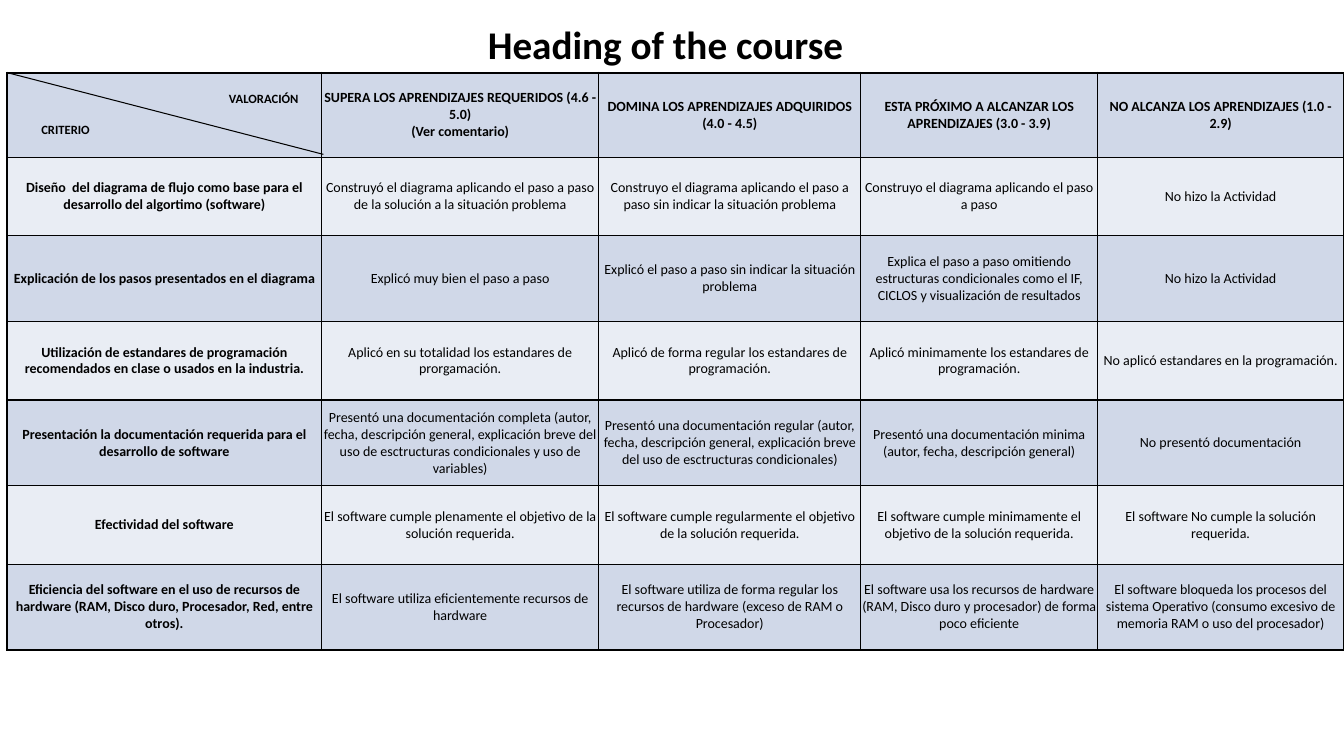
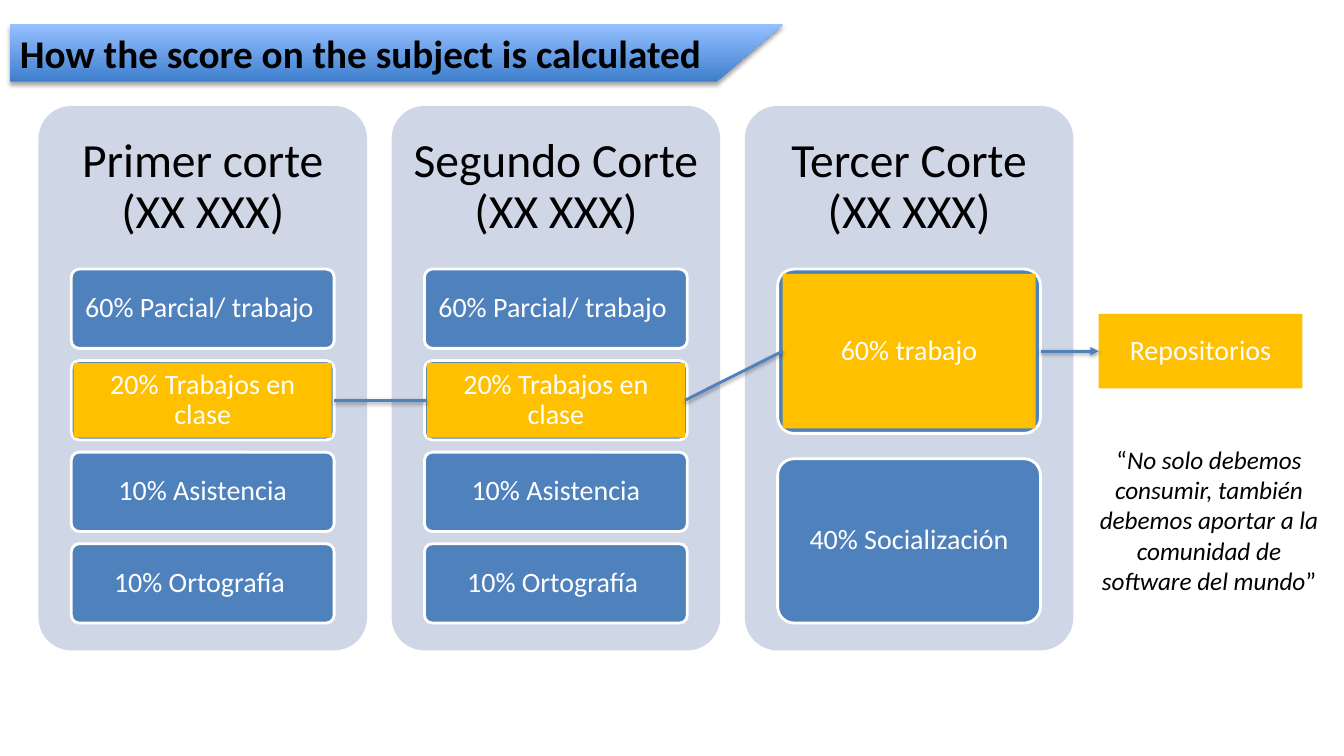
from lxml import etree
from pptx import Presentation
from pptx.dml.color import RGBColor
from pptx.enum import shapes, text
from pptx.oxml.ns import qn
from pptx.util import Cm, Pt

FONT = "Calibri"
BLACK, WHITE = "000000", "FFFFFF"
BLUE, AMBER, PANEL = "4F81BD", "FFC000", "CFD7E7"
BANDS = ("D0D8E8", "E9EDF4")
BANNER_STOPS = ("3E7FCD", "96C0FF")
TITLE_HEIGHT = 1.45
CENTER, LEFT, RIGHT = text.PP_ALIGN.CENTER, text.PP_ALIGN.LEFT, text.PP_ALIGN.RIGHT

TABLE_LEFT, TABLE_TOP = 0.18, 1.83
COLUMN_WIDTHS = (7.92, 6.99, 6.6, 5.97, 6.2)
ROW_HEIGHTS = (2.13, 1.98, 2.16, 1.98, 2.16, 1.98, 2.16)
RUBRIC = (
    ("VALORACIÓN\nCRITERIO",
     "SUPERA LOS APRENDIZAJES REQUERIDOS (4.6 - 5.0)\n(Ver comentario)",
     "DOMINA LOS APRENDIZAJES ADQUIRIDOS (4.0 - 4.5)",
     "ESTA PRÓXIMO A ALCANZAR LOS APRENDIZAJES (3.0 - 3.9)",
     "NO ALCANZA LOS APRENDIZAJES (1.0 - 2.9)"),
    ("Diseño  del diagrama de flujo como base para el desarrollo del algortimo (software)",
     "Construyó el diagrama aplicando el paso a paso de la solución a la situación problema",
     "Construyo el diagrama aplicando el paso a paso sin indicar la situación problema",
     "Construyo el diagrama aplicando el paso a paso",
     "No hizo la Actividad"),
    ("Explicación de los pasos presentados en el diagrama",
     "Explicó muy bien el paso a paso",
     "Explicó el paso a paso sin indicar la situación problema",
     "Explica el paso a paso omitiendo estructuras condicionales como el IF, CICLOS y "
     "visualización de resultados",
     "No hizo la Actividad"),
    ("Utilización de estandares de programación recomendados en clase o usados en la industria.",
     "Aplicó en su totalidad los estandares de prorgamación.",
     "Aplicó de forma regular los estandares de programación.",
     "Aplicó minimamente los estandares de programación.",
     "No aplicó estandares en la programación."),
    ("Presentación la documentación requerida para el desarrollo de software",
     "Presentó una documentación completa (autor, fecha, descripción general, explicación "
     "breve del uso de esctructuras condicionales y uso de variables)",
     "Presentó una documentación regular (autor, fecha, descripción general, explicación "
     "breve del uso de esctructuras condicionales)",
     "Presentó una documentación minima (autor, fecha, descripción general)",
     "No presentó documentación"),
    ("Efectividad del software",
     "El software cumple plenamente el objetivo de la solución requerida.",
     "El software cumple regularmente el objetivo de la solución requerida.",
     "El software cumple minimamente el objetivo de la solución requerida.",
     "El software No cumple la solución requerida."),
    ("Eficiencia del software en el uso de recursos de hardware (RAM, Disco duro, Procesador, "
     "Red, entre otros).",
     "El software utiliza eficientemente recursos de hardware",
     "El software utiliza de forma regular los recursos de hardware (exceso de RAM o Procesador)",
     "El software usa los recursos de hardware (RAM, Disco duro y procesador) de forma poco "
     "eficiente",
     "El software bloqueda los procesos del sistema Operativo (consumo excesivo de memoria RAM "
     "o uso del procesador)"),
)

PANEL_LEFT, PANEL_TOP, PANEL_PITCH = 0.97, 2.67, 8.9
PANEL_WIDTH, PANEL_HEIGHT = 8.28, 13.72
ITEMS_TOP, ITEMS_HEIGHT = 6.78, 8.92
GAP_RATIO = 2 / 13
SHARED_ITEMS = ("60% Parcial/ trabajo ", "20% Trabajos en clase", "10% Asistencia",
                "10% Ortografía ")
TERMS = (
    ("Primer corte (XX XXX)", SHARED_ITEMS, 1),
    ("Segundo Corte (XX XXX)", SHARED_ITEMS, 1),
    ("Tercer Corte (XX XXX)", ("60% trabajo", "40% Socialización"), 0),
)


def rgb(color):
    return RGBColor.from_string(color)


def style_run(run, size, color, bold=False, italic=False):
    font = run.font
    font.name, font.size, font.bold, font.italic = FONT, Pt(size), bold, italic
    font.color.rgb = rgb(color)


def write(frame, words, size, color, bold=False, align=CENTER, spacing=1.0):
    frame.text = words
    for para in frame.paragraphs:
        para.alignment = align
        para.line_spacing = spacing
        for run in para.runs:
            style_run(run, size, color, bold)


def set_margins(holder, across, down):
    holder.margin_left = holder.margin_right = Cm(across)
    holder.margin_top = holder.margin_bottom = Cm(down)


def add_title(page, words, left, top, width, wrap):
    title = page.shapes.title
    title.left, title.top = Cm(left), Cm(top)
    title.width, title.height = Cm(width), Cm(TITLE_HEIGHT)
    frame = title.text_frame
    frame.word_wrap = wrap
    frame.auto_size = text.MSO_AUTO_SIZE.NONE
    frame.vertical_anchor = text.MSO_ANCHOR.MIDDLE
    write(frame, words, 28, BLACK, bold=True, align=LEFT)
    return title


def add_block(page, kind, left, top, width, height, fill, outline=None):
    block = page.shapes.add_shape(kind, Cm(left), Cm(top), Cm(width), Cm(height))
    block.shadow.inherit = False
    block.fill.solid()
    block.fill.fore_color.rgb = rgb(fill)
    if outline:
        block.line.color.rgb = rgb(outline)
        block.line.width = Pt(2)
    else:
        block.line.fill.background()
    if kind == shapes.MSO_SHAPE.ROUNDED_RECTANGLE:
        block.adjustments[0] = 0.1
    return block


def label(block, words):
    frame = block.text_frame
    frame.word_wrap = True
    frame.vertical_anchor = text.MSO_ANCHOR.MIDDLE
    set_margins(frame, 0.15, 0.1)
    write(frame, words, 20, WHITE, spacing=0.9)


def cast_shadow(effects, alpha, distance):
    """Add a soft black shadow straight below to an effect list."""
    shadow = etree.SubElement(effects, qn("a:outerShdw"), blurRad=str(Pt(3.1)),
                              dist=str(Pt(distance)), dir="5400000", rotWithShape="0")
    black = etree.SubElement(shadow, qn("a:srgbClr"), val=BLACK)
    etree.SubElement(black, qn("a:alpha"), val=str(alpha * 1000))


def add_line(page, ends, color, width):
    """Draw a straight line; return it with its empty effect list."""
    line = page.shapes.add_connector(shapes.MSO_CONNECTOR.STRAIGHT, *map(Cm, ends))
    line.line.color.rgb = rgb(color)
    line.line.width = Pt(width)
    return line, etree.SubElement(line.element.spPr, qn("a:effectLst"))


def link(page, source, target, arrow=False):
    """Join the right side of one block to the left side of another."""
    line, effects = add_line(page, (0, 0, 0, 0), BLUE, 2)
    line.begin_connect(source, 3)
    line.end_connect(target, 1)
    cast_shadow(effects, 38, 1.6)
    if arrow:
        outline = line.element.spPr.find(qn("a:ln"))
        etree.SubElement(outline, qn("a:tailEnd"), type="triangle")


def set_borders(cell, widths):
    """Draw black borders, given in points as left, right, top, bottom."""
    properties = cell._tc.get_or_add_tcPr()
    for side, width in zip("LRTB", widths):
        border = etree.SubElement(properties, qn(f"a:ln{side}"), w=str(Pt(width)))
        fill = etree.SubElement(border, qn("a:solidFill"))
        etree.SubElement(fill, qn("a:srgbClr"), val=BLACK)


def format_corner(cell):
    cell.margin_left, cell.margin_right = Cm(0.86), Cm(0.58)
    rating, criterion = cell.text_frame.paragraphs
    rating.alignment, criterion.alignment = RIGHT, LEFT
    criterion.space_before = Pt(11)
    for para in (rating, criterion):
        para.runs[0].font.size = Pt(9)


def add_rubric(page):
    rows, columns = len(RUBRIC), len(COLUMN_WIDTHS)
    table = page.shapes.add_table(rows, columns, Cm(TABLE_LEFT), Cm(TABLE_TOP),
                                  Cm(sum(COLUMN_WIDTHS)), Cm(sum(ROW_HEIGHTS))).table
    table.first_row = table.horz_banding = False
    for column, width in zip(table.columns, COLUMN_WIDTHS):
        column.width = Cm(width)
    for r, (height, entries) in enumerate(zip(ROW_HEIGHTS, RUBRIC)):
        table.rows[r].height = Cm(height)
        for c, words in enumerate(entries):
            cell = table.cell(r, c)
            set_margins(cell, 0, 0)
            cell.vertical_anchor = text.MSO_ANCHOR.MIDDLE
            outer = (c == 0, c == columns - 1, r == 0, r == rows - 1)
            set_borders(cell, [1.5 if edge else 1 for edge in outer])
            cell.fill.solid()
            cell.fill.fore_color.rgb = rgb(BANDS[r % 2])
            write(cell.text_frame, words, 10, BLACK, bold=r == 0 or c == 0)
    format_corner(table.cell(0, 0))


def add_banner(page, title):
    """Draw the slanted gradient band behind the title."""
    left, top, right, bottom = 0.25, 0.61, 19.74, 0.61 + TITLE_HEIGHT
    builder = page.shapes.build_freeform(Cm(left), Cm(top))
    builder.add_line_segments([(Cm(right), Cm(top)), (Cm(right - 1.68), Cm(bottom)),
                               (Cm(left), Cm(bottom))], close=True)
    banner = builder.convert_to_shape()
    banner.fill.gradient()
    banner.fill.gradient_angle = 90
    for stop, color in zip(banner.fill.gradient_stops, BANNER_STOPS):
        stop.color.rgb = rgb(color)
    banner.line.fill.background()
    banner.shadow.inherit = False
    cast_shadow(banner.element.spPr.find(qn("a:effectLst")), 35, 1.8)
    title.element.addprevious(banner.element)


def add_term(page, left, heading, items, highlighted):
    """Draw one term panel; return the highlighted item's frame and its face."""
    rounded = shapes.MSO_SHAPE.ROUNDED_RECTANGLE
    add_block(page, rounded, left, PANEL_TOP, PANEL_WIDTH, PANEL_HEIGHT, PANEL)
    box = page.shapes.add_textbox(Cm(left), Cm(PANEL_TOP), Cm(PANEL_WIDTH),
                                  Cm(PANEL_HEIGHT * 0.3))
    frame = box.text_frame
    frame.word_wrap = True
    frame.vertical_anchor = text.MSO_ANCHOR.MIDDLE
    set_margins(frame, 0.36, 0.36)
    write(frame, heading, 34, BLACK, spacing=0.9)

    height = ITEMS_HEIGHT / (len(items) + (len(items) - 1) * GAP_RATIO)
    item_left, width = left + PANEL_WIDTH * 0.1, PANEL_WIDTH * 0.8
    inset = height * 0.03
    for i, words in enumerate(items):
        top = ITEMS_TOP + i * height * (1 + GAP_RATIO)
        block = add_block(page, rounded, item_left, top, width, height, BLUE, WHITE)
        if i == highlighted:
            face = add_block(page, shapes.MSO_SHAPE.RECTANGLE, item_left + inset, top + inset,
                             width - 2 * inset, height - 2 * inset, AMBER)
            label(face, words)
            marked = block, face
        else:
            label(block, words)
    return marked


def add_quote(page):
    box = page.shapes.add_textbox(Cm(27.36), Cm(11.07), Cm(6.22), Cm(4.11))
    box.text_frame.word_wrap = True
    para = box.text_frame.paragraphs[0]
    para.alignment = CENTER
    quote = "No solo debemos consumir, también debemos aportar a la comunidad de software del mundo"
    for words, italic in (("“", False), (quote, True), ("”", False)):
        span = para.add_run()
        span.text = words
        style_run(span, 18, BLACK, italic=italic)


def build_rubric_page(page):
    add_title(page, "Heading of the course", 12.04, 0.38, 9.8, wrap=False)
    add_rubric(page)
    add_line(page, (TABLE_LEFT, TABLE_TOP, 8.15, 3.89), BLACK, 0.75)


def build_score_page(page):
    title = add_title(page, "How the score on the subject is calculated",
                      0.25, 0.61, 18.6, wrap=True)
    add_banner(page, title)
    first, second, third = [add_term(page, PANEL_LEFT + i * PANEL_PITCH, *term)
                            for i, term in enumerate(TERMS)]
    repository = add_block(page, shapes.MSO_SHAPE.RECTANGLE, 27.69, 7.91, 5.13, 1.88, AMBER)
    label(repository, "Repositorios")
    link(page, first[0], second[1])
    link(page, second[1], third[1])
    link(page, third[0], repository, arrow=True)
    add_quote(page)


def main():
    deck = Presentation()
    deck.slide_width, deck.slide_height = Cm(33.87), Cm(19.05)
    for build in (build_rubric_page, build_score_page):
        build(deck.slides.add_slide(deck.slide_layouts[5]))
    deck.save("out.pptx")


if __name__ == "__main__":
    main()
